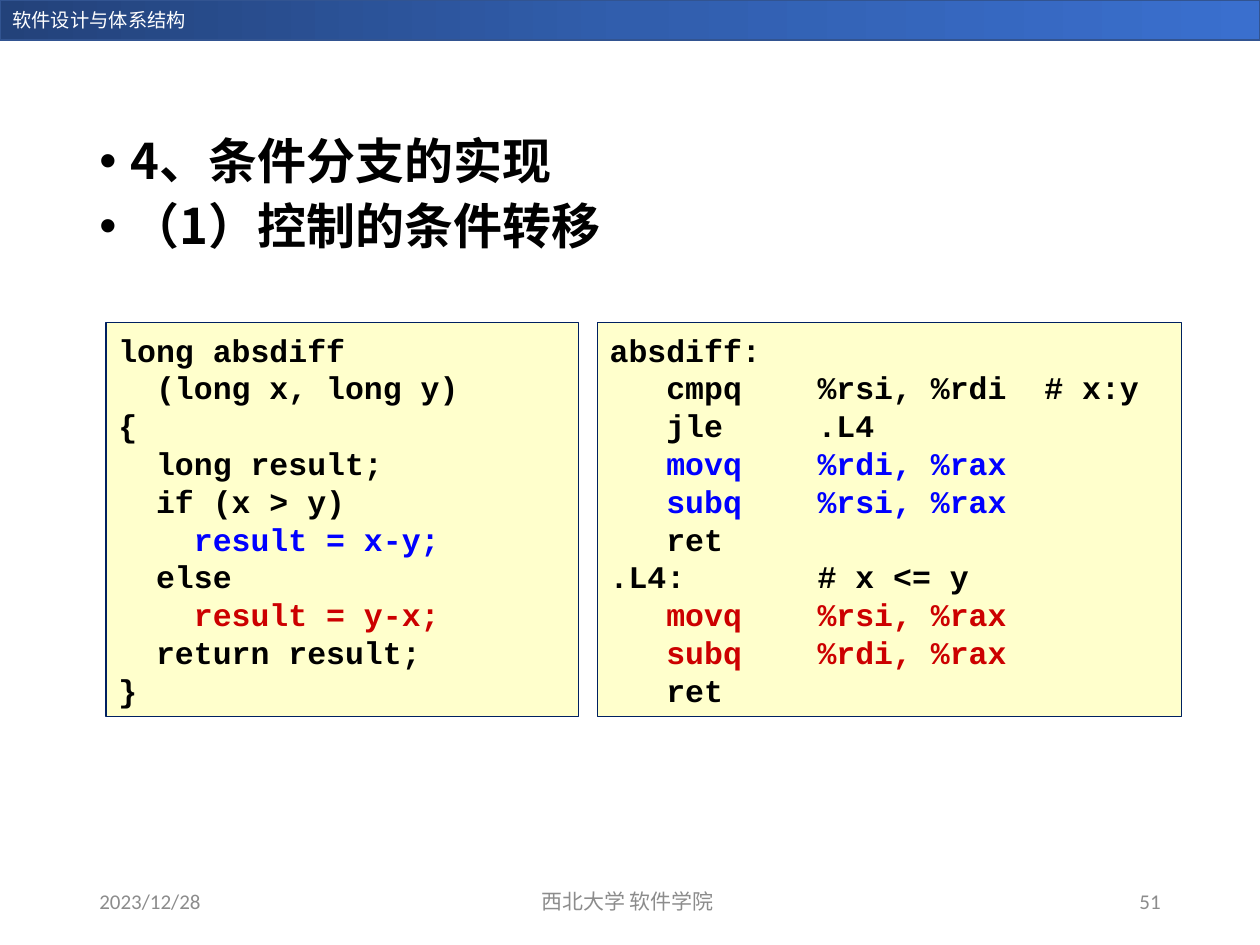
from pptx import Presentation
from pptx import util as u
from pptx.dml.color import RGBColor
from pptx.enum import shapes, text
from pptx.oxml.ns import qn
from lxml import etree

COLS, ROWS = 100, 75
CELL = u.Inches(0.1)
HUES = dict(dark="23427A", mid="315EAD", light="3A6FCE", edge="325491",
            white="FFFFFF", gray="8C8C8C", black="000000", cream="FFFFCC",
            navy="002060", blue="0000FF", red="CC0000")
CJK = "Noto Sans CJK SC"
HEAD = dict(size=u.Pt(11), name="Calibri")
FOOT = dict(size=u.Pt(12), name="Calibri")
BODY = dict(size=u.Pt(28), name=CJK, bold=True)
CODE = dict(size=u.Pt(18), name="Courier New", bold=True)
LEFT, MID, RIGHT = (text.PP_ALIGN.LEFT, text.PP_ALIGN.CENTER,
                    text.PP_ALIGN.RIGHT)

C_CODE = [
    ("long absdiff", "black"),
    ("  (long x, long y)", "black"),
    ("{", "black"),
    ("  long result;", "black"),
    ("  if (x > y)", "black"),
    ("    result = x-y;", "blue"),
    ("  else", "black"),
    ("    result = y-x;", "red"),
    ("  return result;", "black"),
    ("}", "black"),
]
ASM = [
    ("absdiff:", "black"),
    ("   cmpq    %rsi, %rdi  # x:y", "black"),
    ("   jle     .L4", "black"),
    ("   movq    %rdi, %rax", "blue"),
    ("   subq    %rsi, %rax", "blue"),
    ("   ret", "black"),
    (".L4:       # x <= y", "black"),
    ("   movq    %rsi, %rax", "red"),
    ("   subq    %rdi, %rax", "red"),
    ("   ret", "black"),
]


def rgb(hue):
    return RGBColor.from_string(HUES[hue])


def span(box):
    """Turn grid columns and rows into lengths."""
    return [round(n * CELL) for n in box]


def apply(item, props):
    for key, value in props.items():
        setattr(item, key, value)


def write(frame, lines, style, para, bullet=None):
    """Fill a text frame with (wording, hue) lines."""
    frame.word_wrap = True
    for i, (words, hue) in enumerate(lines):
        p = frame.add_paragraph() if i else frame.paragraphs[0]
        if bullet:
            props = p._p.get_or_add_pPr()
            props.set("marL", str(u.Inches(0.25)))
            props.set("indent", str(-u.Inches(0.25)))
            etree.SubElement(props, qn("a:buFont"), typeface="Arial")
            etree.SubElement(props, qn("a:buChar"), char=bullet)
        apply(p, para)
        if i == 0:
            p.space_before = u.Pt(0)
        run = p.add_run()
        run.text = words
        apply(run.font, style)
        run.font.color.rgb = rgb(hue)
        face = etree.Element(qn("a:ea"), typeface=CJK)
        run.font._element.find(qn("a:latin")).addnext(face)


def label(slide, box, lines, style, para, anchor, bullet=None):
    frame = slide.shapes.add_textbox(*span(box)).text_frame
    frame.vertical_anchor = anchor
    write(frame, lines, style, para, bullet)


def panel(slide, box, edge, width):
    shape = slide.shapes.add_shape(shapes.MSO_SHAPE.RECTANGLE, *span(box))
    shape.shadow.inherit = False
    shape.line.color.rgb = rgb(edge)
    shape.line.width = u.Pt(width)
    return shape


def banner(slide, box, title):
    x, y, w, h = box
    fill = panel(slide, box, "edge", 1).fill
    fill.gradient()
    fill.gradient_angle = 0
    stops = fill._fill._gradFill.find(qn("a:gsLst"))
    for stop in list(stops):
        stops.remove(stop)
    for pos, hue in ((0, "dark"), (50, "mid"), (100, "light")):
        stop = etree.SubElement(stops, qn("a:gs"), pos=str(pos * 1000))
        etree.SubElement(stop, qn("a:srgbClr"), val=HUES[hue])
    label(slide, (x, y + 0.2, w / 4, h - 0.3), [(title, "white")], HEAD,
          dict(alignment=LEFT), text.MSO_ANCHOR.TOP)


def points(slide, box, items):
    label(slide, box, [(item, "black") for item in items], BODY,
          dict(line_spacing=0.9, space_before=u.Pt(7)),
          text.MSO_ANCHOR.TOP, bullet="•")


def listing(slide, box, lines):
    shape = panel(slide, box, "navy", 0.75)
    shape.fill.solid()
    shape.fill.fore_color.rgb = rgb("cream")
    shape.text_frame.vertical_anchor = text.MSO_ANCHOR.MIDDLE
    write(shape.text_frame, lines, CODE,
          dict(alignment=LEFT, line_spacing=u.Pt(21.6)))


def footer(slide, box, date, school, page):
    x, y, w, h = box
    side, core = 22.5, 33.8
    cells = ((x, side, date, LEFT),
             (x + (w - core) / 2, core, school, MID),
             (x + w - side, side, page, RIGHT))
    for left, wide, words, align in cells:
        label(slide, (left, y, wide, h), [(words, "gray")], FOOT,
              dict(alignment=align), text.MSO_ANCHOR.MIDDLE)


def main():
    deck = Presentation()
    deck.slide_width, deck.slide_height = COLS * CELL, ROWS * CELL
    slide = deck.slides.add_slide(deck.slide_layouts[6])
    banner(slide, (0, 0, COLS, 3.2), "软件设计与体系结构")
    points(slide, (6.9, 10.4, 86.2, 47.6),
           ["4、条件分支的实现", "（1）控制的条件转移"])
    listing(slide, (8.4, 25.6, 37.5, 31.3), C_CODE)
    listing(slide, (47.4, 25.6, 46.4, 31.3), ASM)
    footer(slide, (6.9, 69.5, 86.2, 4), "2023/12/28",
           "西北大学 软件学院 ", "51")
    deck.save("out.pptx")


if __name__ == "__main__":
    main()
